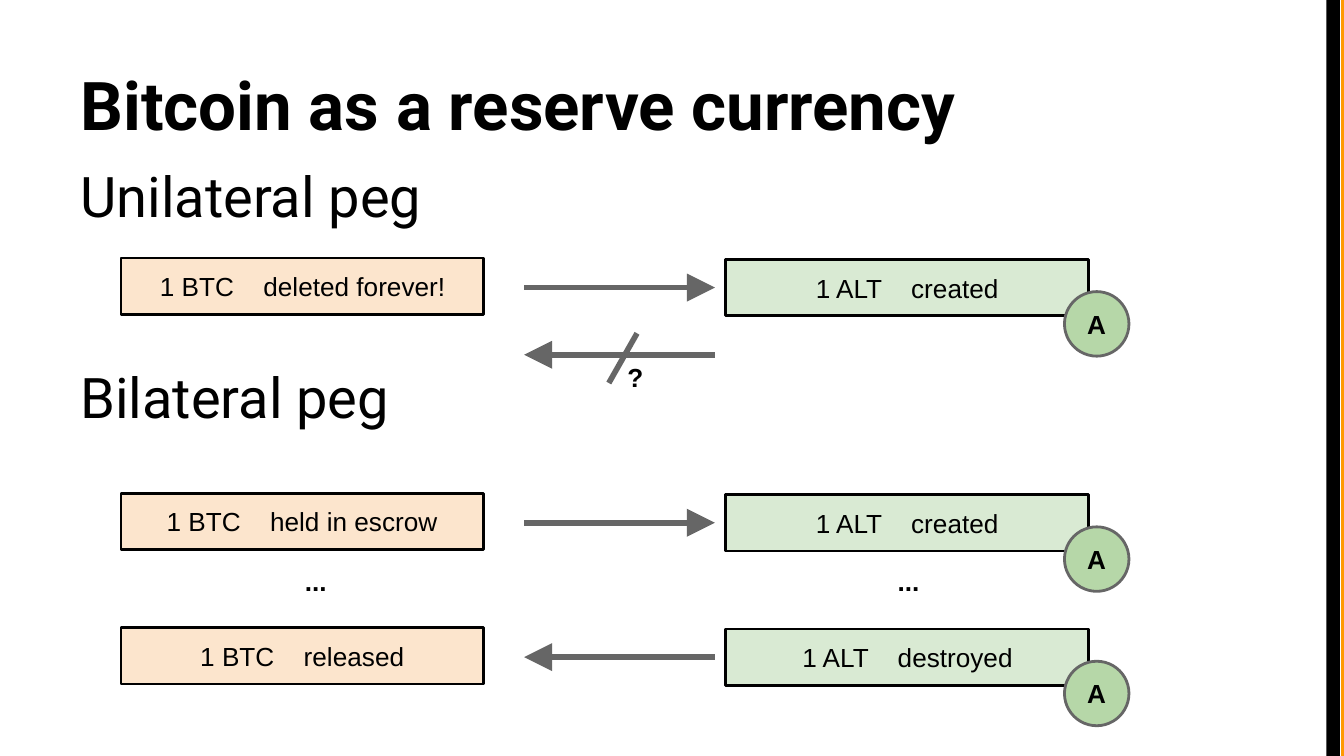
from lxml.etree import SubElement
from pptx import Presentation
from pptx.dml.color import RGBColor
from pptx.enum.shapes import MSO_CONNECTOR, MSO_SHAPE
from pptx.enum.text import MSO_ANCHOR, PP_ALIGN
from pptx.oxml.ns import qn
from pptx.util import Inches, Pt

BLACK, GREY, ORANGE = "000000", "666666", "FF9900"
PEACH, PALE_GREEN, GREEN = "FCE5CD", "D9EAD3", "B6D7A8"

TITLE = {"name": "Roboto", "size": Pt(36), "bold": True}
HEADING = {"name": "Roboto", "size": Pt(30), "bold": False}
LABEL = {"name": "Arial", "size": Pt(14), "bold": False}
MARK = {**LABEL, "bold": True}

BTC_LEFT, ALT_LEFT, COIN_LEFT = 0.9, 5.4, 7.92
ARROW_LEFT, ARROW_RIGHT = 3.9, 5.32
BTC_TAB, ALT_TAB = 0.77, 0.71

# Row top, (BTC state, text inset), (ALT state, text inset), arrowhead end
EXCHANGES = [
    (1.92, ("deleted forever!", 0.29), ("created", 0.67), "tailEnd"),
    (3.67, ("held in escrow", 0.34), ("created", 0.67), "tailEnd"),
    (4.67, ("released", 0.59), ("destroyed", 0.57), "headEnd"),
]


def color(hex_value):
    return RGBColor.from_string(hex_value)


def write(frame, lines, style, anchor=MSO_ANCHOR.TOP, inset=0.1, tab=None):
    """Fill a text frame with left-aligned lines, with an optional tab stop."""
    layout = {
        "word_wrap": True,
        "vertical_anchor": anchor,
        "margin_left": Inches(inset),
        "margin_right": Inches(0.1),
        "margin_top": Inches(0.1),
        "margin_bottom": Inches(0.1),
    }
    for key, value in layout.items():
        setattr(frame, key, value)
    frame.text = "\n".join(lines)
    for paragraph in frame.paragraphs:
        paragraph.alignment = PP_ALIGN.LEFT
        if tab:
            stops = SubElement(paragraph._p.get_or_add_pPr(), qn("a:tabLst"))
            SubElement(stops, qn("a:tab"), pos=str(Inches(tab)), algn="l")
        for run in paragraph.runs:
            for key, value in style.items():
                setattr(run.font, key, value)
            run.font.color.rgb = color(BLACK)


def add_text(slide, box, lines, style, **options):
    frame = slide.shapes.add_textbox(*map(Inches, box)).text_frame
    write(frame, lines, style, **options)
    return frame


def add_block(slide, kind, box, fill, outline=None):
    block = slide.shapes.add_shape(kind, *map(Inches, box))
    block.shadow.inherit = False
    block.fill.solid()
    block.fill.fore_color.rgb = color(fill)
    if outline:
        block.line.color.rgb = color(outline)
        block.line.width = Pt(1.5)
    else:
        block.line.fill.background()
    return block


def add_holding(slide, left, top, fill, unit, state, inset, tab):
    """Box for one unit of a currency and what happens to it."""
    block = add_block(slide, MSO_SHAPE.RECTANGLE, (left, top, 2.7, 0.42), fill, BLACK)
    write(block.text_frame, [f"{unit}\t{state}"], LABEL,
          anchor=MSO_ANCHOR.MIDDLE, inset=inset, tab=tab)


def add_coin(slide, top):
    coin = add_block(slide, MSO_SHAPE.OVAL, (COIN_LEFT, top, 0.48, 0.48), GREEN, GREY)
    write(coin.text_frame, ["A"], MARK, anchor=MSO_ANCHOR.MIDDLE)


def add_line(slide, start, end, arrowhead=None):
    line = slide.shapes.add_connector(
        MSO_CONNECTOR.STRAIGHT, *map(Inches, (*start, *end)))
    line.line.color.rgb = color(GREY)
    line.line.width = Pt(3)
    if arrowhead:
        SubElement(line.line._get_or_add_ln(), qn(f"a:{arrowhead}"),
                   type="triangle", w="lg", len="lg")
    SubElement(line._element.spPr, qn("a:effectLst"))


def add_arrow(slide, y, arrowhead):
    add_line(slide, (ARROW_LEFT, y), (ARROW_RIGHT, y), arrowhead)


def add_exchange(slide, top, btc, alt, arrowhead):
    """One row: a BTC box, an arrow and an ALT box with its coin."""
    add_holding(slide, BTC_LEFT, top, PEACH, "1 BTC", *btc, BTC_TAB)
    add_holding(slide, ALT_LEFT, top + 0.01, PALE_GREEN, "1 ALT", *alt, ALT_TAB)
    add_arrow(slide, top + 0.22, arrowhead)
    add_coin(slide, top + 0.25)


def main():
    deck = Presentation()
    deck.slide_width = Inches(10)
    deck.slide_height = deck.slide_width * 9 // 16
    slide = deck.slides.add_slide(deck.slide_layouts[6])

    for left, fill in ((9.98, ORANGE), (9.87, BLACK)):
        stripe = add_block(slide, MSO_SHAPE.RECTANGLE, (left, 0, 0.1, 0), fill)
        stripe.height = deck.slide_height

    add_text(slide, (0.5, 0.23, 9, 0.94), ["Bitcoin as a reserve currency"],
             TITLE, anchor=MSO_ANCHOR.BOTTOM)
    headings = add_text(slide, (0.5, 1.1, 9, 4.07),
                        ["Unilateral peg", "Bilateral peg"], HEADING)
    headings.paragraphs[1].space_before = Pt(72)

    for exchange in EXCHANGES:
        add_exchange(slide, *exchange)

    for left in (2.17, 6.58):
        add_text(slide, (left, 4.11, 0.42, 0.5), ["..."], MARK)

    # The way back that a unilateral peg does not allow
    add_arrow(slide, 2.64, "headEnd")
    add_line(slide, (4.74, 2.48), (4.53, 2.85))
    add_text(slide, (4.57, 2.59, 0.51, 0.5), ["?"], MARK)

    deck.save("out.pptx")


if __name__ == "__main__":
    main()
